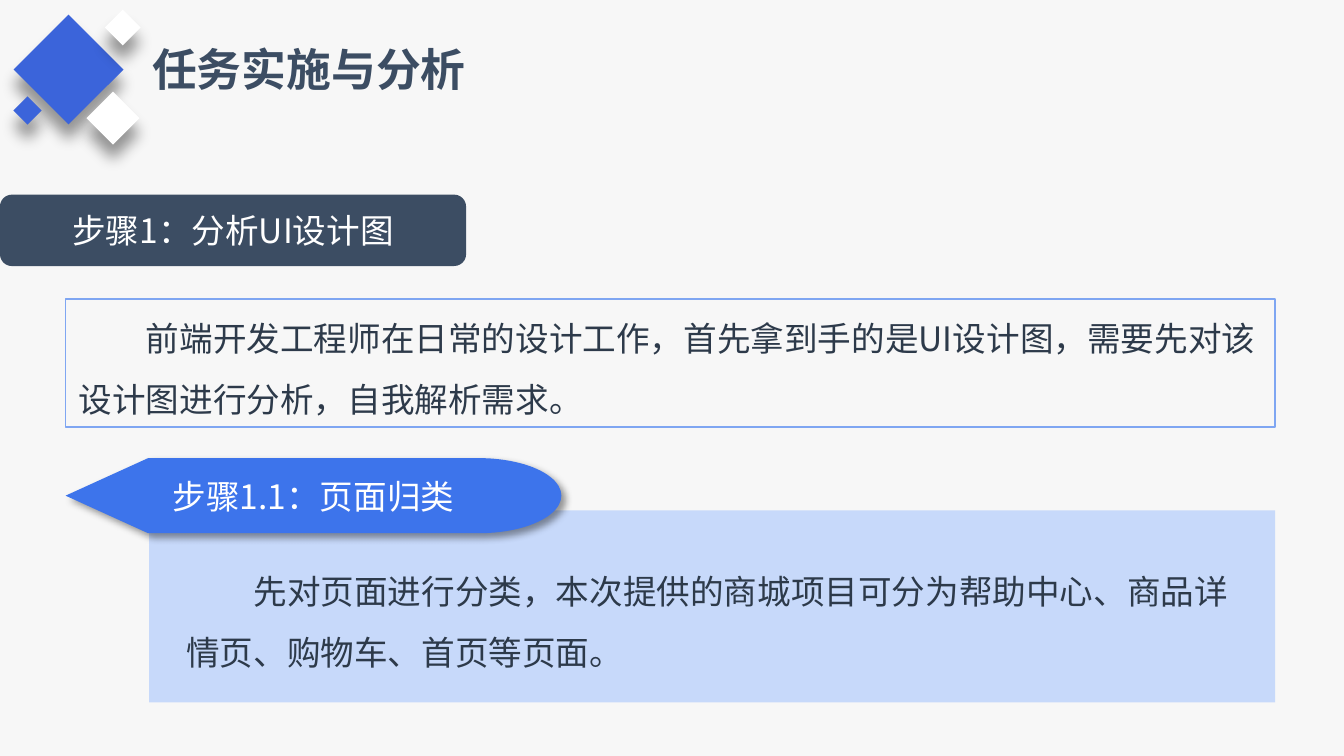
from lxml import etree
from pptx import Presentation
from pptx.dml.color import RGBColor
from pptx.enum.shapes import MSO_SHAPE
from pptx.enum.text import MSO_ANCHOR, MSO_AUTO_SIZE, PP_ALIGN
from pptx.oxml.ns import qn
from pptx.util import Cm, Pt

RECT = MSO_SHAPE.RECTANGLE
ROUNDED = MSO_SHAPE.ROUNDED_RECTANGLE
DISPLAY = MSO_SHAPE.FLOWCHART_DISPLAY
MIDDLE, TOP = MSO_ANCHOR.MIDDLE, MSO_ANCHOR.TOP
LEFT, CENTER = PP_ALIGN.LEFT, PP_ALIGN.CENTER
NO_FIT = MSO_AUTO_SIZE.NONE

FONT = "Noto Sans CJK SC"
COLORS = {
    "background": "F7F7F7",
    "slate": "3C4D63",
    "body": "2D3A4A",
    "diamond": "3B64DA",
    "banner": "3D74EB",
    "panel": "C7D9FA",
    "border": "7FA6F2",
    "white": "FFFFFF",
    "shadow": "000000",
}


def rgb(name):
    return RGBColor.from_string(COLORS[name])


def add_shadow(sp, blur, distance, angle):
    effects = sp._element.spPr.find(qn("a:effectLst"))
    shadow = etree.SubElement(
        effects, qn("a:outerShdw"), blurRad=str(Pt(blur)), dist=str(Pt(distance)),
        dir=str(angle * 60000), algn="ctr", rotWithShape="0")
    color = etree.SubElement(shadow, qn("a:srgbClr"), val=COLORS["shadow"])
    etree.SubElement(color, qn("a:alpha"), val="40000")


def add_box(s, kind, x, y, w, h, fill=None, line=None):
    sp = s.shapes.add_shape(kind, Cm(x), Cm(y), Cm(w), Cm(h))
    sp.shadow.inherit = False
    if fill:
        sp.fill.solid()
        sp.fill.fore_color.rgb = rgb(fill)
    else:
        sp.fill.background()
    if line:
        sp.line.color.rgb = rgb(line)
        sp.line.width = Pt(1)
    else:
        sp.line.fill.background()
    return sp


def write(sp, text, color, size=18, bold=False, align=LEFT, anchor=MIDDLE, wrap=True):
    tf = sp.text_frame
    tf.text = text
    tf.word_wrap = wrap
    tf.auto_size = NO_FIT
    tf.vertical_anchor = anchor
    p = tf.paragraphs[0]
    p.alignment = align
    font = p.font
    font.name = FONT
    font.size = Pt(size)
    font.bold = bold
    font.color.rgb = rgb(color)
    etree.SubElement(font._element, qn("a:ea"), typeface=FONT)
    return tf


def write_body(sp, text, anchor):
    tf = write(sp, text, "body", anchor=anchor)
    p = tf.paragraphs[0]
    p.line_spacing = 1.5
    pPr = p._p.get_or_add_pPr()
    pPr.set("marL", "0")
    pPr.set("indent", str(Cm(1.27)))
    return tf


def add_header(s, x, y, w, h, text):
    diamonds = (
        (0.56, 0.58, 1.47, "diamond"),
        (1.78, 1.88, 0.71, "white"),
        (2.08, 0.28, 0.48, "white"),
        (0.33, 1.9, 0.38, "diamond"),
    )
    for dx, dy, side, fill in diamonds:
        sp = add_box(s, RECT, x + dx, y + dy, side, side, fill)
        sp.rotation = 45
        add_shadow(sp, 8, 8, 90)
    title = s.shapes.title
    title.left, title.top = Cm(x + 2.62), Cm(y + 0.66)
    title.width, title.height = Cm(w - 2.62), Cm(h - 1.32)
    write(title, text, "slate", size=24, bold=True, wrap=False)


def add_step_label(s, x, y, w, h, text):
    sp = add_box(s, ROUNDED, x, y, w, h, "slate")
    write(sp, text, "white", align=CENTER)


def add_intro(s, x, y, w, h, text):
    sp = add_box(s, RECT, x, y, w, h, line="border")
    tf = write_body(sp, text, MIDDLE)
    tf.margin_bottom = Cm(0.3)


def add_substep(s, x, y, w, h, label, text):
    add_box(s, RECT, x + 1.58, y + 0.99, w - 1.58, h - 0.99, "panel")
    banner = add_box(s, DISPLAY, x, y, 9.37, 1.42, "banner")
    add_shadow(banner, 4, 3, 45)
    write(banner, label, "white", align=CENTER)
    body = s.shapes.add_textbox(Cm(x + 2.03), Cm(y + 1.63), Cm(w - 2.06), Cm(2.57))
    write_body(body, text, TOP)


def main():
    prs = Presentation()
    prs.slide_width, prs.slide_height = Cm(25.4), Cm(14.29)
    s = prs.slides.add_slide(prs.slide_layouts[5])
    s.background.fill.solid()
    s.background.fill.fore_color.rgb = rgb("background")

    add_header(s, 0, 0, 9.07, 2.59, "任务实施与分析")
    add_step_label(s, 0, 3.68, 8.81, 1.35, "步骤1：分析UI设计图")
    add_intro(s, 1.24, 5.66, 22.86, 2.41,
              "前端开发工程师在日常的设计工作，首先拿到手的是UI设计图，"
              "需要先对该设计图进行分析，自我解析需求。")
    add_substep(s, 1.24, 8.66, 22.86, 4.62, "步骤1.1：页面归类",
                "先对页面进行分类，本次提供的商城项目可分为帮助中心、"
                "商品详情页、购物车、首页等页面。")
    prs.save("out.pptx")


if __name__ == "__main__":
    main()
